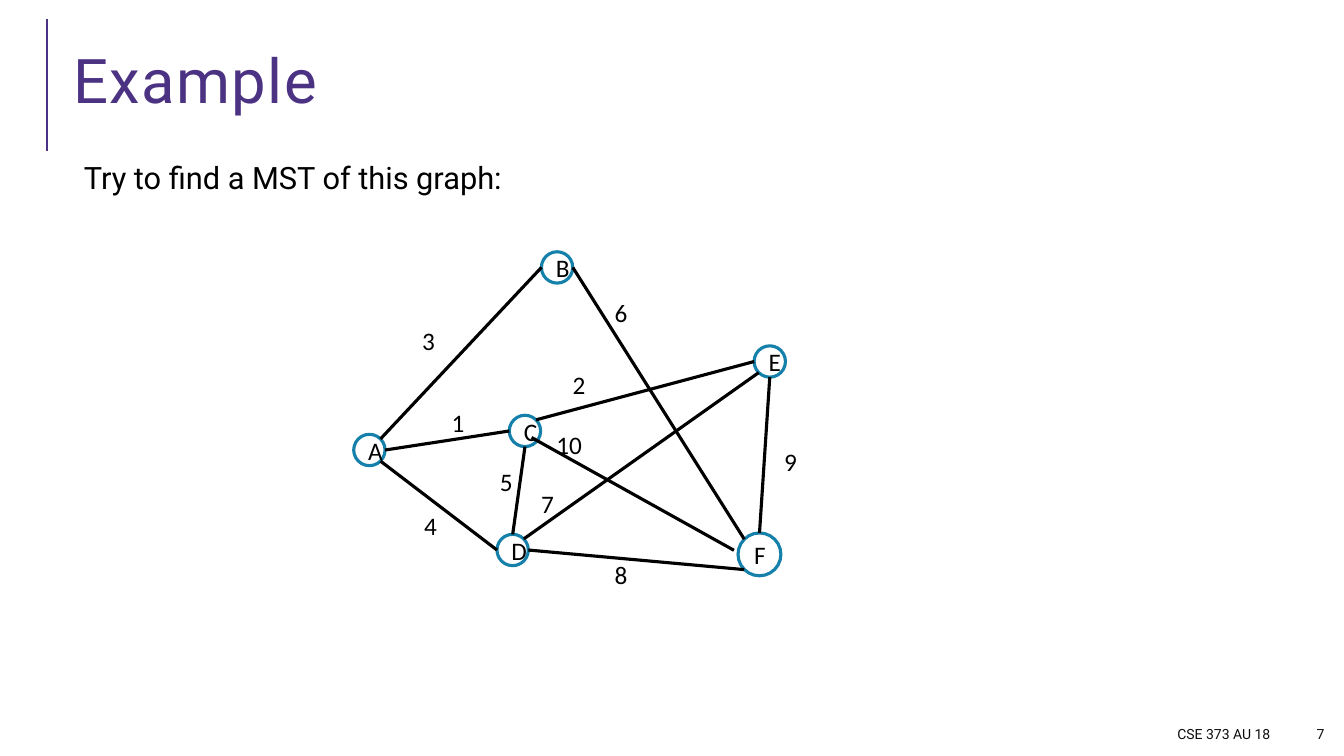
import dataclasses

import lxml.etree
import pptx
import pptx.dml.color
import pptx.enum.shapes
import pptx.enum.text
import pptx.oxml.ns
import pptx.util

Cm = pptx.util.Cm
Pt = pptx.util.Pt
PP_ALIGN = pptx.enum.text.PP_ALIGN
MSO_ANCHOR = pptx.enum.text.MSO_ANCHOR


@dataclasses.dataclass(frozen=True)
class Theme:
    """Colours, fonts and sizes of the slide."""
    accent: str = "4C3282"
    node_line: str = "1580A9"
    node_fill: str = "FFFFFF"
    ink: str = "000000"
    footer: str = "0D0D0D"
    bullet: str = "1CADE4"
    text_font: str = "Roboto"
    graph_font: str = "Calibri"
    title_size: int = 44
    body_size: int = 22
    graph_size: int = 18
    footer_size: int = 10
    rule_width: float = 1.5
    graph_width: float = 2.25


THEME = Theme()

NODE_SIZE = 0.79
NODES = {
    "A": (0.39, 4.99, NODE_SIZE),
    "B": (5.12, 0.39, NODE_SIZE),
    "C": (4.31, 4.51, NODE_SIZE),
    "D": (4.0, 7.51, NODE_SIZE),
    "E": (10.48, 2.76, NODE_SIZE),
    "F": (10.22, 7.62, 1.08),
}
ANCHORS = {
    "top": (0, -1), "bottom": (0, 1), "left": (-1, 0), "right": (1, 0),
    "top left": (-0.71, -0.71), "top right": (0.71, -0.71),
    "bottom left": (-0.71, 0.71), "bottom right": (0.71, 0.71),
    "inside": (0.42, 0.42), "outside": (-1.19, -0.19),
}
EDGES = [
    ("B", "left", "A", "top right", "3", 1.47, 1.73),
    ("A", "bottom right", "D", "left", "4", 1.52, 6.38),
    ("D", "top", "C", "bottom", "5", 3.43, 5.28),
    ("C", "left", "A", "right", "1", 2.21, 3.78),
    ("C", "top right", "E", "left", "2", 5.26, 2.84),
    ("E", "bottom", "F", "top", "9", 10.59, 4.78),
    ("F", "bottom left", "D", "right", "8", 6.32, 7.62),
    ("F", "top left", "B", "right", "6", 6.32, 1.02),
    ("E", "bottom left", "D", "top right", "7", 4.47, 5.84),
    ("C", "inside", "F", "outside", "10", 4.85, 4.34),
]


def rgb(value):
    """Return the colour object for a hex value."""
    return pptx.dml.color.RGBColor.from_string(value)


def add_run(paragraph, text, font, size, color):
    """Add one styled run to a paragraph."""
    run = paragraph.add_run()
    run.text = text
    run.font.name = font
    run.font.size = Pt(size)
    run.font.color.rgb = rgb(color)
    return run


def add_text(slide, box, text, font, size, color, align=PP_ALIGN.LEFT, anchor=MSO_ANCHOR.TOP):
    """Add a one-paragraph text box and return its frame and run."""
    frame = slide.shapes.add_textbox(*map(Cm, box)).text_frame
    frame.word_wrap = True
    frame.vertical_anchor = anchor
    paragraph = frame.paragraphs[0]
    paragraph.alignment = align
    return frame, add_run(paragraph, text, font, size, color)


def add_line(slide, start, end, color, width):
    """Draw a straight line without shadow between two points."""
    connector = slide.shapes.add_connector(
        pptx.enum.shapes.MSO_CONNECTOR.STRAIGHT, *map(Cm, (*start, *end)))
    connector.line.color.rgb = rgb(color)
    connector.line.width = Pt(width)
    properties = connector._element.spPr
    lxml.etree.SubElement(properties, pptx.oxml.ns.qn("a:effectLst"))


def add_title(slide, box, text):
    """Place the title and the vertical rule beside it."""
    left, top, width, height = box
    add_line(slide, (left - 0.41, top - 0.25), (left - 0.41, top + height + 0.25),
             THEME.accent, THEME.rule_width)
    frame, run = add_text(slide, box, text, THEME.text_font, THEME.title_size,
                          THEME.accent, anchor=MSO_ANCHOR.MIDDLE)
    frame.paragraphs[0].line_spacing = 0.8
    run.font._element.set("spc", "100")


def add_body(slide, box, text):
    """Place the task sentence with its hanging blank bullet."""
    frame = slide.shapes.add_textbox(*map(Cm, box)).text_frame
    frame.word_wrap = True
    frame.margin_left = frame.margin_right = Cm(0.13)
    frame.margin_top = frame.margin_bottom = Cm(0.13)
    paragraph = frame.paragraphs[0]
    paragraph.line_spacing = 0.8
    paragraph.space_after = Pt(2)
    properties = paragraph._element.get_or_add_pPr()
    properties.set("marL", str(Cm(0.25)))
    properties.set("indent", str(-Cm(0.25)))
    bullet_color = lxml.etree.SubElement(properties, pptx.oxml.ns.qn("a:buClr"))
    lxml.etree.SubElement(bullet_color, pptx.oxml.ns.qn("a:srgbClr"), val=THEME.bullet)
    lxml.etree.SubElement(properties, pptx.oxml.ns.qn("a:buChar"), char=" ")
    add_run(paragraph, text, THEME.text_font, THEME.body_size, THEME.ink)


def add_footer(slide, box, course, number):
    """Place the course name and the slide number."""
    left, top, width, height = box
    number_width = 1.17
    course_width = width - number_width - 0.2
    for text, x, part_width in (
            (course, left, course_width),
            (number, left + width - number_width, number_width)):
        add_text(slide, (x, top, part_width, height), text, THEME.text_font,
                 THEME.footer_size, THEME.footer, PP_ALIGN.RIGHT, MSO_ANCHOR.MIDDLE)


def add_node(slide, left, top, name):
    """Draw one named graph node."""
    x, y, size = NODES[name]
    shape = slide.shapes.add_shape(
        pptx.enum.shapes.MSO_SHAPE.OVAL,
        Cm(left + x - size / 2), Cm(top + y - size / 2), Cm(size), Cm(size))
    shape.shadow.inherit = False
    shape.fill.solid()
    shape.fill.fore_color.rgb = rgb(THEME.node_fill)
    shape.line.color.rgb = rgb(THEME.node_line)
    shape.line.width = Pt(THEME.graph_width)
    shape.text_frame.vertical_anchor = MSO_ANCHOR.MIDDLE
    paragraph = shape.text_frame.paragraphs[0]
    paragraph.alignment = PP_ALIGN.CENTER
    add_run(paragraph, name, THEME.graph_font, THEME.graph_size, THEME.ink)


def anchor_point(left, top, name, anchor):
    """Return the point where an edge meets a node."""
    x, y, size = NODES[name]
    across, down = ANCHORS[anchor]
    return left + x + across * size / 2, top + y + down * size / 2


def add_graph(slide, left, top):
    """Draw the weighted graph from its top left corner."""
    for name in NODES:
        add_node(slide, left, top, name)
    for first, first_anchor, second, second_anchor, weight, x, y in EDGES:
        add_line(slide, anchor_point(left, top, first, first_anchor),
                 anchor_point(left, top, second, second_anchor),
                 THEME.ink, THEME.graph_width)
        label_width = 0.89 if len(weight) == 1 else 1.52
        add_text(slide, (left + x, top + y, label_width, 1.02), weight,
                 THEME.graph_font, THEME.graph_size, THEME.ink)


def main():
    """Build and save the presentation."""
    presentation = pptx.Presentation()
    presentation.slide_width = Cm(33.87)
    presentation.slide_height = Cm(19.05)
    slide = presentation.slides.add_slide(presentation.slide_layouts[6])
    add_title(slide, (1.6, 0.74, 31.06, 2.82), "Example")
    add_body(slide, (1.6, 4.06, 31.06, 1.88), "Try to find a MST of this graph:")
    add_footer(slide, (15.88, 18.11, 17.75, 0.76), "CSE 373 AU 18", "7")
    add_graph(slide, 8.92, 6.35)
    presentation.save("out.pptx")


if __name__ == "__main__":
    main()
